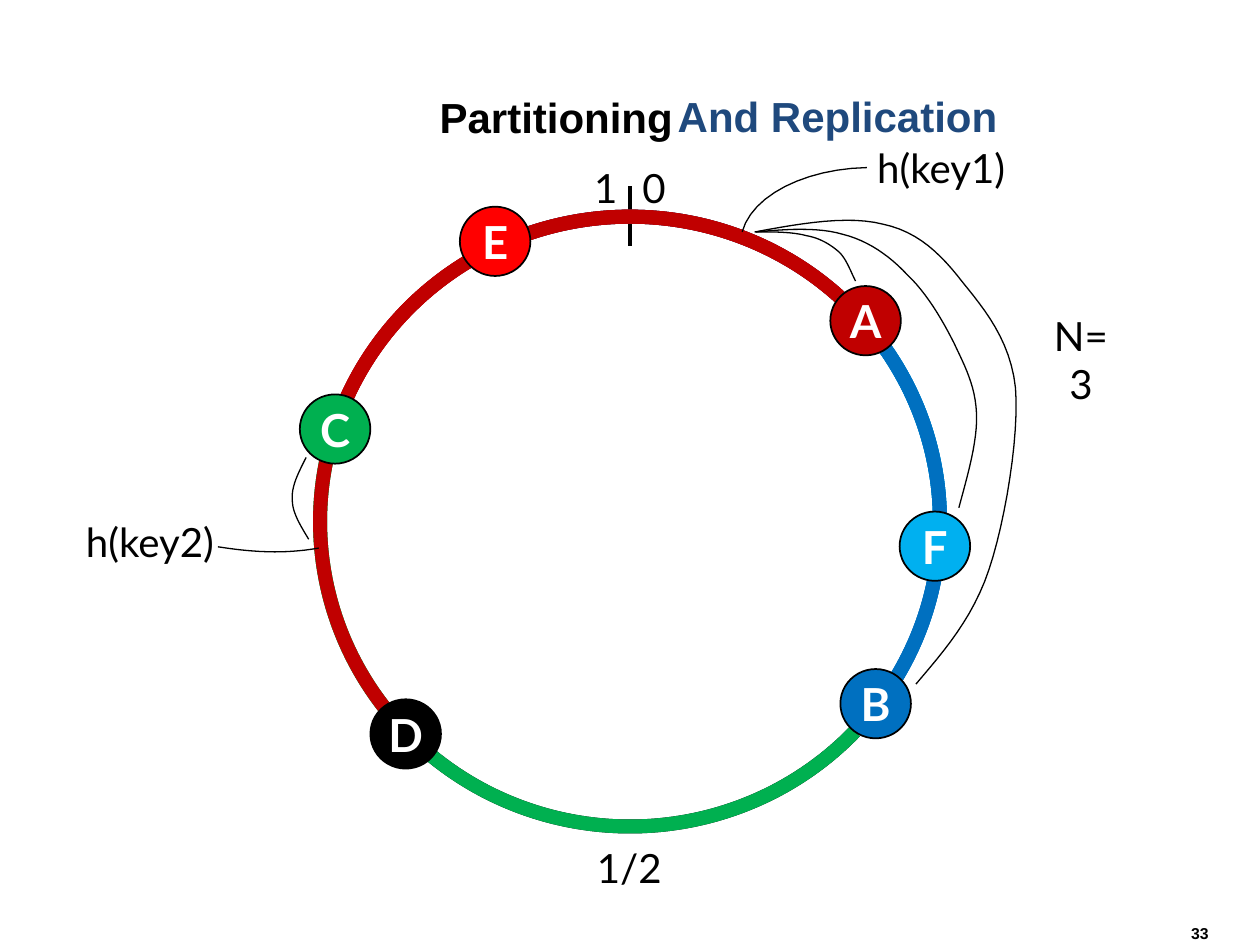
from dataclasses import dataclass
from typing import Any

from lxml.etree import SubElement
from pptx import Presentation
from pptx.dml.color import RGBColor
from pptx.enum.shapes import MSO_CONNECTOR as Connector, MSO_SHAPE as Shape
from pptx.enum.text import MSO_ANCHOR as Anchor, PP_ALIGN as Align
from pptx.oxml.ns import qn
from pptx.util import Inches, Pt

COLUMNS, ROWS = 100, 75
CELL = Inches(0.1)
BLACK, WHITE, NAVY = "000000", "FFFFFF", "1F497D"
RED, DARK_RED, GREEN, BLUE, SKY = "FF0000", "C00000", "00B050", "0070C0", "00B0F0"

RING = (25.4, 17.2, 49.2, 48.4)
RANGES = [
    (SKY, 202.5, 359), (SKY, 323.6, 359),
    (RED, 201.2, 239),
    (BLACK, 43, 130.7),
    (GREEN, 142, 191), (GREEN, 43, 191),
    (BLUE, 249.8, 30.4), (BLUE, 9.6, 30.4), (BLUE, 323.6, 30.4),
    (DARK_RED, 142, 313), (DARK_RED, 250, 313), (DARK_RED, 203.8, 313),
]
NODES = [
    ("F", SKY, 71.4, 40.6), ("E", RED, 36.5, 16.4), ("D", BLACK, 29.4, 55.5),
    ("C", GREEN, 23.8, 31.3), ("B", BLUE, 66.7, 53.1), ("A", DARK_RED, 65.9, 22.7),
]
LABELS = [
    ("0", (50, 12.5, 3.7, 4.8), Align.CENTER, False),
    ("1", (37.3, 12.5, 12.7, 4.8), Align.RIGHT, True),
    ("1/2", (43.6, 66.4, 12.7, 4.8), Align.CENTER, True),
    ("N=3", (81.8, 24.2, 8, 4.8), Align.CENTER, True),
    ("h(key2)", (5.5, 40.6, 12.8, 4.8), Align.CENTER, False),
    ("h(key1)", (68.3, 10.9, 12.8, 4.8), Align.CENTER, False),
]
KEY_CURVES = [
    [(24.5, 42.8), (23.9, 41.8), (23.2, 40.7), (23.2, 39.7),
     (23.1, 38.6), (23.7, 37.5), (24.3, 36.3)],
    [(60, 18.4), (63.7, 17.7), (67.4, 17.1), (70.1, 17.8),
     (72.9, 18.4), (74.7, 20.2), (76.4, 22.4),
     (78.1, 24.5), (80.2, 27), (80.6, 30.8),
     (80.9, 34.6), (79.8, 41.3), (78.5, 45.2),
     (77.2, 49.1), (74.9, 51.7), (72.7, 54.3)],
    [(60, 18.4), (62.4, 18.2), (64.9, 18), (66.9, 18.6),
     (68.9, 19.1), (70.6, 20.3), (72, 21.8),
     (73.5, 23.2), (74.8, 25.4), (75.7, 27.2),
     (76.6, 29.1), (77.4, 30.6), (77.5, 32.8),
     (77.6, 35), (76.8, 37.7), (76.1, 40.3)],
    [(59.9, 18.4), (61.4, 18.4), (62.9, 18.4), (64, 18.7),
     (65.1, 18.9), (65.9, 19.4), (66.6, 20),
     (67.2, 20.6), (67.5, 21.5), (67.9, 22.3)],
    [(25.3, 43.5), (24.2, 43.7), (23, 43.8), (21.8, 43.8),
     (20.2, 43.8), (18.6, 43.6), (17.3, 43.4)],
    [(58.9, 18.4), (59.7, 15.5), (63.9, 13.4), (68.8, 13.3)],
]


def color(value):
    return RGBColor.from_string(value)


def cells(*values):
    return [round(value * CELL) for value in values]


def bezier_points(points, steps=12):
    """Return points along a chain of cubic curves, without its start."""
    return [
        tuple(
            (1 - t) ** 3 * a + 3 * (1 - t) ** 2 * t * b + 3 * (1 - t) * t * t * c + t ** 3 * d
            for a, b, c, d in zip(*points[start:start + 4])
        )
        for start in range(0, len(points) - 1, 3)
        for t in (step / steps for step in range(1, steps + 1))
    ]


@dataclass
class RingSlide:
    """Draws a hash ring on one slide, with lengths in grid cells."""

    slide: Any
    label_font: str = "Lato"
    heading_font: str = "Arial"

    def add_text(self, shape, text, size, font, ink=BLACK, bold=False,
                 align=Align.CENTER, anchor=Anchor.TOP, wrap=True):
        frame = shape.text_frame
        frame.word_wrap = wrap
        frame.vertical_anchor = anchor
        paragraph = frame.paragraphs[0]
        paragraph.alignment = align
        run = paragraph.add_run()
        run.text = text
        run.font.size = Pt(size)
        run.font.name = font
        run.font.bold = bold
        run.font.color.rgb = color(ink)

    def outline(self, shape, ink, width, fill=None):
        shape.shadow.inherit = False
        shape.line.color.rgb = color(ink)
        shape.line.width = Pt(width)
        if fill:
            shape.fill.solid()
            shape.fill.fore_color.rgb = color(fill)
        else:
            shape.fill.background()

    def title(self, text, box):
        shape = self.slide.shapes.title
        shape.left, shape.top, shape.width, shape.height = cells(*box)
        self.add_text(shape, text, 24, self.heading_font, bold=True, anchor=Anchor.MIDDLE)

    def heading_text(self, text, box, size, **style):
        shape = self.slide.shapes.add_textbox(*cells(*box))
        self.add_text(shape, text, size, self.heading_font, bold=True, **style)

    def label(self, text, box, align, wrap):
        shape = self.slide.shapes.add_textbox(*cells(*box))
        self.add_text(shape, text, 23, self.label_font, align=align, wrap=wrap)

    def ring(self):
        shape = self.slide.shapes.add_shape(Shape.OVAL, *cells(*RING))
        self.outline(shape, BLACK, 3)

    def key_range(self, ink, start, end):
        shape = self.slide.shapes.add_shape(Shape.ARC, *cells(*RING))
        shape.adjustments[0], shape.adjustments[1] = start * 0.6, end * 0.6
        self.outline(shape, ink, 8)

    def node(self, name, fill, left, top):
        shape = self.slide.shapes.add_shape(Shape.OVAL, *cells(left, top, 5.6, 5.5))
        self.outline(shape, BLACK, 1, fill)
        frame = shape.text_frame
        frame.margin_left = frame.margin_right = frame.margin_top = frame.margin_bottom = 0
        self.add_text(shape, name, 26, self.label_font, WHITE, True,
                      anchor=Anchor.MIDDLE, wrap=False)

    def tick(self, *ends):
        line = self.slide.shapes.add_connector(Connector.STRAIGHT, *cells(*ends))
        line.line.color.rgb = color(BLACK)
        line.line.width = Pt(2.25)
        SubElement(line._element.spPr, qn("a:effectLst"))

    def curve(self, points):
        builder = self.slide.shapes.build_freeform(*cells(*points[0]))
        builder.add_line_segments([cells(*point) for point in bezier_points(points)], close=False)
        self.outline(builder.convert_to_shape(), BLACK, 0.75)


def main():
    presentation = Presentation()
    presentation.slide_width, presentation.slide_height = cells(COLUMNS, ROWS)
    page = RingSlide(presentation.slides.add_slide(presentation.slide_layouts[5]))
    page.title("Partitioning", (5, 3, 78.3, 12.5))
    page.heading_text("And Replication", (52.8, 5, 47.2, 8.3), 24, ink=NAVY,
                      align=Align.LEFT, anchor=Anchor.MIDDLE)
    page.ring()
    page.tick(50, 14.8, 50, 19.5)
    for key_range in RANGES:
        page.key_range(*key_range)
    for node in NODES:
        page.node(*node)
    for points in KEY_CURVES:
        page.curve(points)
    for label in LABELS:
        page.label(*label)
    page.heading_text("33", (92.4, 72.8, 4.5, 2.2), 9, align=Align.RIGHT)
    presentation.save("out.pptx")


if __name__ == "__main__":
    main()
